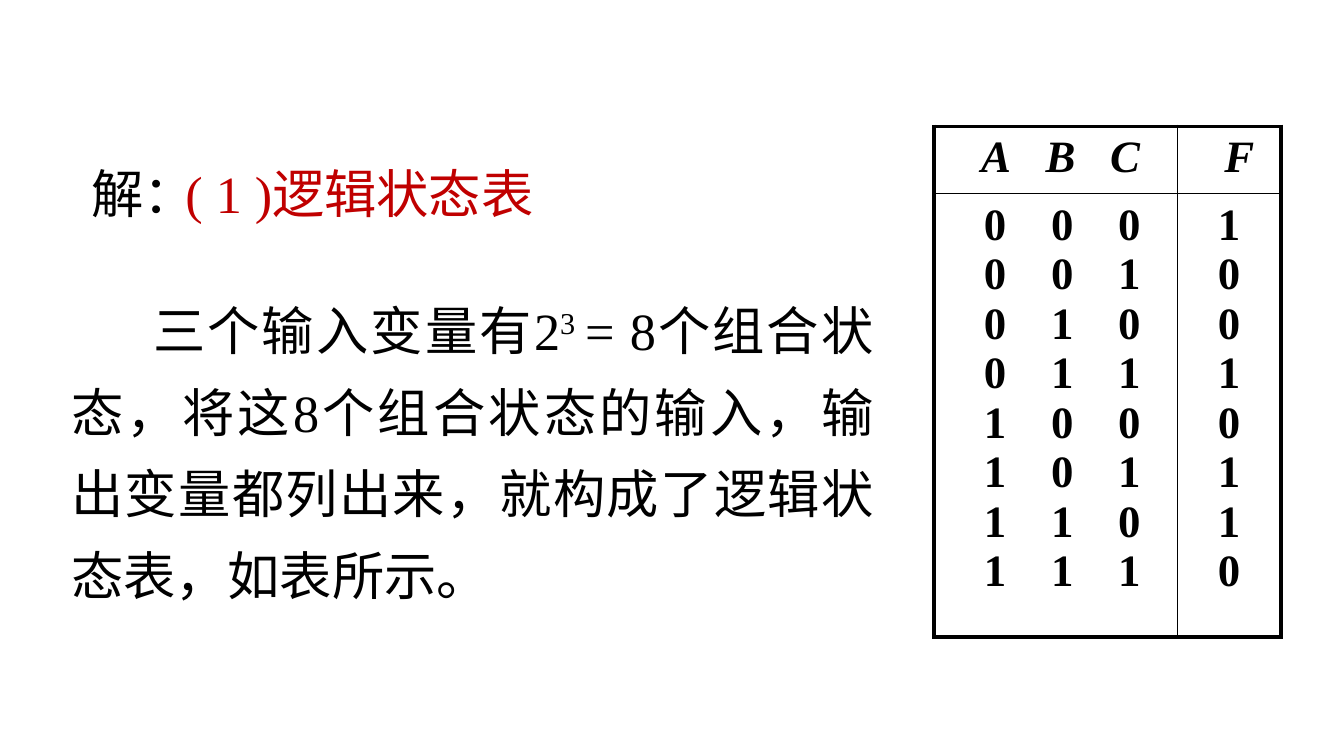
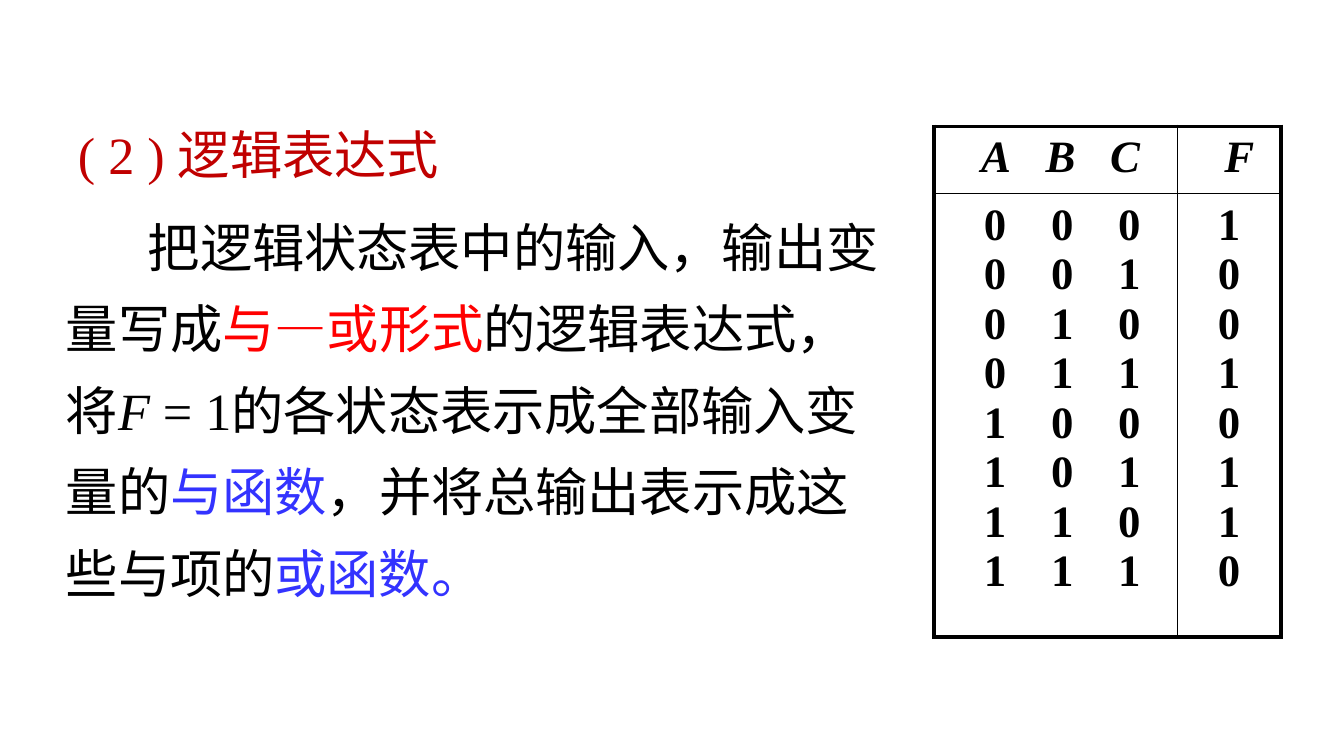
import pptx
import pptx.util
import pptx.dml.color
import pptx.enum.text
import pptx.oxml
from lxml import etree

Inches, Pt = pptx.util.Inches, pptx.util.Pt
ALIGN = pptx.enum.text.PP_ALIGN
ANCHOR = pptx.enum.text.MSO_ANCHOR
FONT = "Times New Roman"
COLORS = {"ink": "000000", "title": "C00000", "red": "FF0000", "blue": "3333FF"}

# Content: runs are (text, style)
SLIDES = [
    {
        "title": "( 1 )逻辑状态表", "title_box": (1.28, 1.01, 2.82, 0.66), "title_spacing": 1.3,
        "label": ("解：", (0.58, 1.01, 0.98, 0.66)),
        "body_box": (0.43, 2.03, 6.17, 2.49), "align": ALIGN.JUSTIFY,
        "body": [
            ("三个输入变量有2", {}),
            ("3 ", {"raised": True}),
            ("= 8个组合状态，将这8个组合状态的输入，输出变量都列出来，"
             "就构成了逻辑状态表，如表所示。", {}),
        ],
    },
    {
        "title": "( 2 ) 逻辑表达式", "title_box": (0.48, 0.86, 3.02, 0.57), "title_spacing": 1.0,
        "label": None,
        "body_box": (0.39, 1.41, 6.41, 3.17), "align": ALIGN.LEFT,
        "body": [
            ("把逻辑状态表中的输入，输出变量写成", {}),
            ("与—或形式", {"color": "red"}),
            ("的逻辑表达式，将", {}),
            ("F", {"italic": True}),
            (" = 1的各状态表示成全部输入变量的", {}),
            ("与函数", {"color": "blue"}),
            ("，并将总输出表示成这些与项的", {}),
            ("或函数。", {"color": "blue"}),
        ],
    },
]
INPUTS, OUTPUT = "ABC", "F"
F_VALUES = "10010110"

# Truth table geometry
TABLE_AT = (6.95, 0.94)
COL_WIDTHS, ROW_HEIGHTS = (1.81, 0.77), (0.5, 3.3)
HEAD_STOPS = [0.25 + 0.48 * i for i in range(3)]
BIT_STOPS = [0.27 + 0.5 * i for i in range(3)]
THICK, THIN = 2.25, 1


def add_run(p, text, size=28, color="ink", italic=False, bold=False, raised=False):
    r = p.add_run()
    r.text = text
    f = r.font
    f.name, f.size, f.bold, f.italic = FONT, Pt(size), bold, italic
    f.color.rgb = pptx.dml.color.RGBColor.from_string(COLORS[color])
    if raised:
        f._element.set("baseline", "30000")


def setup_text(sp, box, spacing, align=ALIGN.LEFT, wrap=True):
    """Place a text shape and return its first paragraph."""
    sp.left, sp.top, sp.width, sp.height = map(Inches, box)
    tf = sp.text_frame
    tf.word_wrap = wrap
    tf.auto_size = pptx.enum.text.MSO_AUTO_SIZE.NONE
    tf.vertical_anchor = ANCHOR.TOP
    p = tf.paragraphs[0]
    p.alignment, p.line_spacing, p.space_before = align, spacing, Pt(0)
    return p


def set_indent(p, first_line):
    pPr = p._p.get_or_add_pPr()
    pPr.set("marL", "0")
    pPr.set("indent", str(Inches(first_line)))
    etree.SubElement(pPr, pptx.oxml.ns.qn("a:buNone"))


def add_tabbed(p, items, stops, **style):
    tabs = etree.SubElement(p._p.get_or_add_pPr(), pptx.oxml.ns.qn("a:tabLst"))
    for stop in stops:
        etree.SubElement(tabs, pptx.oxml.ns.qn("a:tab"), pos=str(Inches(stop)), algn="l")
    add_run(p, "".join("\t" + item for item in items), size=24, bold=True, **style)


def set_borders(cell, **widths):
    tcPr = cell._tc.get_or_add_tcPr()
    for side in "LRTB":
        ln = etree.SubElement(tcPr, pptx.oxml.ns.qn("a:ln" + side), w=str(Pt(widths[side])))
        fill = etree.SubElement(ln, pptx.oxml.ns.qn("a:solidFill"))
        etree.SubElement(fill, pptx.oxml.ns.qn("a:srgbClr"), val=COLORS["ink"])


def add_truth_table(s):
    size = (sum(COL_WIDTHS), sum(ROW_HEIGHTS))
    table = s.shapes.add_table(2, 2, *map(Inches, TABLE_AT + size)).table
    table.first_row = table.horz_banding = False
    for i in range(2):
        table.columns[i].width = Inches(COL_WIDTHS[i])
        table.rows[i].height = Inches(ROW_HEIGHTS[i])

    # Thick frame, thin inner rules
    for row in range(2):
        for col in range(2):
            cell = table.cell(row, col)
            set_borders(cell, L=THIN if col else THICK, R=THICK if col else THIN,
                        T=THIN if row else THICK, B=THICK if row else THIN)
            cell.fill.background()

    # Header
    for col, names in enumerate((INPUTS, OUTPUT)):
        p = table.cell(0, col).text_frame.paragraphs[0]
        add_tabbed(p, names, HEAD_STOPS[:len(names)], italic=True)

    # One line per input combination
    inputs, outputs = (table.cell(1, col).text_frame for col in range(2))
    for n, value in enumerate(F_VALUES):
        p, q = (tf.add_paragraph() if n else tf.paragraphs[0] for tf in (inputs, outputs))
        add_tabbed(p, f"{n:03b}", BIT_STOPS)
        q.alignment = ALIGN.CENTER
        add_run(q, value, size=24, bold=True)


def build_slide(prs, content):
    s = prs.slides.add_slide(prs.slide_layouts[1])
    title, body = s.shapes.title, s.placeholders[1]

    p = setup_text(body, content["body_box"], 1.3, content["align"])
    set_indent(p, 0.61)
    for text, style in content["body"]:
        add_run(p, text, **style)

    if content["label"]:
        text, box = content["label"]
        sp = s.shapes.add_textbox(*map(Inches, box))
        add_run(setup_text(sp, box, 1.3, wrap=False), text)

    p = setup_text(title, content["title_box"], content["title_spacing"])
    add_run(p, content["title"], color="title")
    add_truth_table(s)


def main():
    prs = pptx.Presentation()
    # Widescreen, 16:9
    prs.slide_width = Inches(10)
    prs.slide_height = prs.slide_width * 9 // 16
    for content in SLIDES:
        build_slide(prs, content)
    prs.save("out.pptx")


if __name__ == "__main__":
    main()
